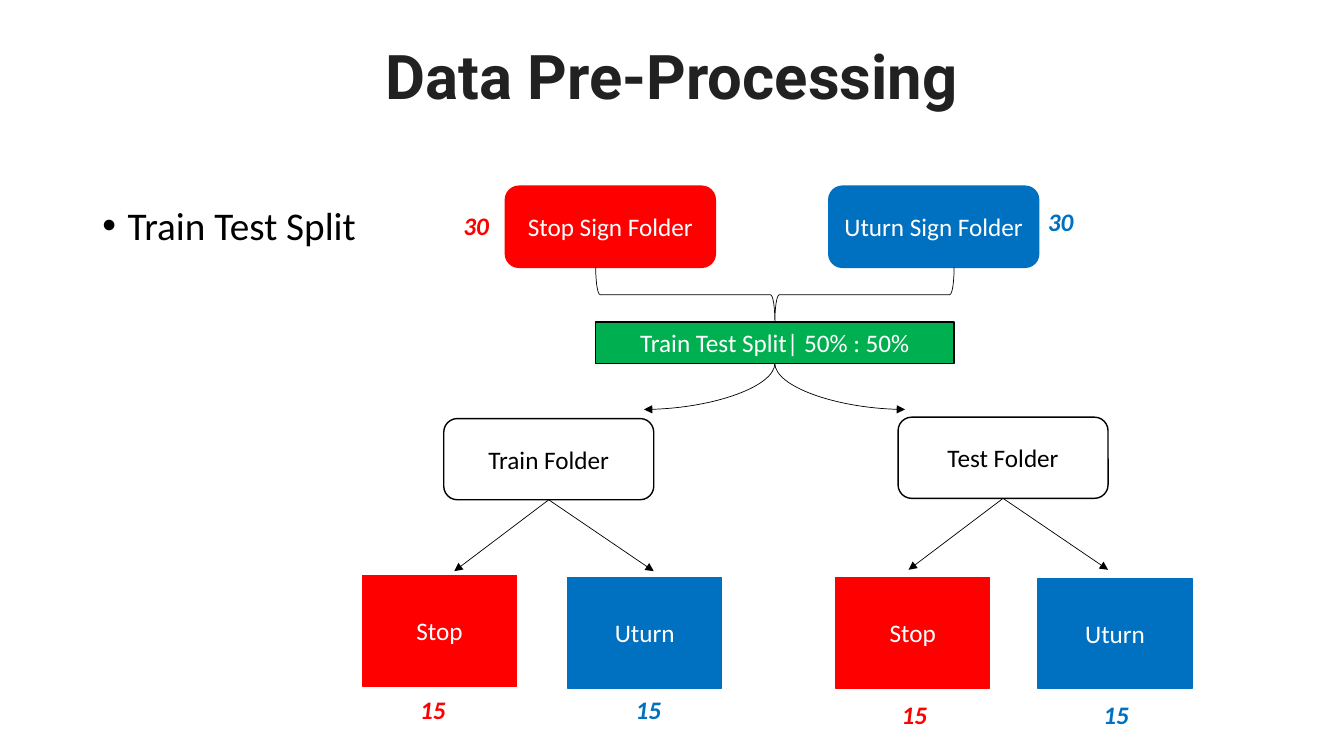
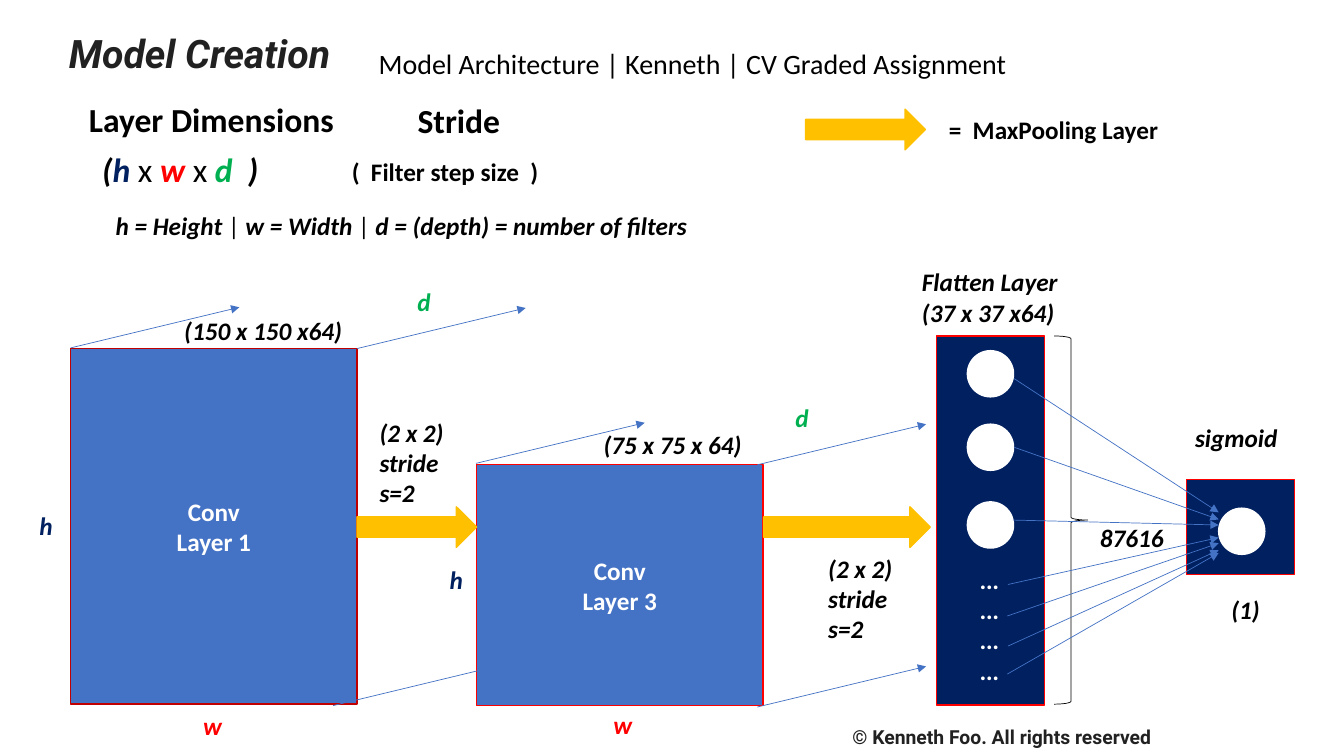
from dataclasses import dataclass

from pptx import Presentation
from pptx import util as u
from pptx.dml.color import RGBColor
from pptx.enum import shapes, text
from pptx.oxml.ns import qn
from lxml import etree

Pt = u.Pt
Kind = shapes.MSO_SHAPE
Link = shapes.MSO_CONNECTOR
CENTER, LEFT = text.PP_ALIGN.CENTER, text.PP_ALIGN.LEFT


@dataclass(frozen=True)
class Theme:
    body_font: str = "Calibri"
    title_font: str = "Roboto"
    title_ink: str = "212121"
    black: str = "000000"
    white: str = "FFFFFF"
    red: str = "FF0000"
    dark_red: str = "C00000"
    blue: str = "0070C0"
    layer_blue: str = "4472C4"
    navy: str = "002060"
    green: str = "00B050"
    amber: str = "FFC000"
    title: float = 44
    bullet: float = 28
    subtitle: float = 20
    heading: float = 24
    label: float = 18
    footer: float = 13.8
    edge: float = 1
    hairline: float = 0.5


T = Theme()
BOLD = {"bold": True}
STRONG = {"bold": True, "italic": True}
PLAIN = {"bold": False, "italic": False}

# ---- Content: data pre-processing ----
FOLDER_SIZE, CLASS_SIZE = (150, 58), (110, 79)
SPLIT = (425.5, 230, 256, 29.5)
SOURCE_FOLDERS = [
    ("Stop Sign Folder", T.red, 361, 133),
    ("Uturn Sign Folder", T.blue, 592, 133),
]
SPLIT_FOLDERS = [("Train Folder", 317, 299), ("Test Folder", 641.5, 298)]
CLASS_BOXES = [
    ("Stop", T.red, 259, 411),
    ("Uturn", T.blue, 405.5, 412.5),
    ("Stop", T.red, 597, 412.5),
    ("Uturn", T.blue, 741.5, 413),
]
COUNTS = [
    ("30", T.red, 324, 147), ("30", T.blue, 741.5, 144),
    ("15", T.red, 293, 492.5), ("15", T.blue, 447, 492.5),
    ("15", T.red, 637, 496), ("15", T.blue, 781, 496),
]

# ---- Content: model creation ----
DIMENSIONS = [
    ("(", {}), ("h", {"color": T.navy}), (" x ", PLAIN), ("w ", {"color": T.red}),
    ("x ", PLAIN), ("d  ", {"color": T.green}), (")", {}),
]
LEGEND = [
    ("h = Height ", {}), ("| ", PLAIN), ("w = Width ", {}), ("| ", PLAIN),
    ("d = (depth) = number of filters", {}),
]
HEADINGS = [  # paragraphs, box, format
    (["Model Architecture | Kenneth | CV Graded Assignment"],
     (255, 29.5, 479.5, 32), {"size": T.subtitle}),
    (["Layer Dimensions"], (37.5, 67, 227, 36), {"size": T.heading, **BOLD}),
    ([DIMENSIONS], (56, 103, 145.5, 36), {"size": T.heading, **STRONG}),
    (["Stride"], (255, 67.5, 145.5, 36), {"size": T.heading, **BOLD}),
    (["(  Filter step size  )"], (235.5, 108, 165, 29), BOLD),
    (["=  MaxPooling Layer"], (670, 78, 165, 29), BOLD),
    (["…"] * 4, (688, 399.5, 38, 94.5), {"color": T.white, **STRONG}),
]
POOL_STRIDE = ["(2 x 2)", "stride", "s=2"]
LABELS = [  # paragraphs, box
    ([LEGEND], (75.5, 147, 479.5, 29)),
    (["(150 x 150 x64)"], (124.5, 222, 134.5, 29)),
    (["(75 x 75 x 64)"], (424, 303, 134.5, 29)),
    (POOL_STRIDE, (264, 294.5, 70, 73)),
    (POOL_STRIDE, (584.5, 391.5, 70, 73)),
    (["Flatten Layer", "(37 x 37 x64)"], (651.5, 187, 119, 51)),
    (["87616"], (778.5, 369.5, 61, 29)),
    (["sigmoid"], (846.5, 298, 78.5, 29)),
    (["(1)"], (872.5, 421, 38, 29)),
]
AXIS_MARKS = [
    ("h", T.navy, [(21, 361), (314, 399.5)]),
    ("w", T.red, [(138, 504), (431, 503)]),
    ("d", T.green, [(291, 201), (561, 283.5)]),
]
LAYERS = [  # paragraphs, box, fill, line
    (["Conv", "Layer 1"], (50.5, 249, 204.5, 254), T.layer_blue, T.dark_red),
    (["Conv", "Layer 3"], (340.5, 332, 204.5, 172), T.layer_blue, T.red),
    ([], (669, 240, 77, 263.5), T.navy, T.red),
    ([], (847.5, 342.5, 77, 68), T.navy, T.red),
]
POOL_ARROWS = [(255, 362, 85.5, 29), (545.5, 362, 119, 29), (575.5, 78, 85.5, 29)]
DEPTH_STARTS = [(50.5, 248.5), (255, 249), (340, 331), (541, 332), (238, 504), (541, 505)]
DEPTH_SHIFT = (120.5, -29)
NEURONS = [(691, 250.5), (691, 303), (691, 358.5), (870.5, 363)]
NEURON_SIZE = (33, 33)
NEURON_LINKS = [  # start x, start y, end y
    (724.5, 270.5, 366), (724.5, 319.5, 371), (723.5, 371.5, 375), (720, 417.5, 384),
    (719.5, 440, 388), (720, 461.5, 393), (719.5, 481.5, 395),
]
OUTPUT_EDGE = 870.5


# ---- Shared helpers ----
def rgb(value):
    return RGBColor.from_string(value)


def write(frame, paragraphs, align=CENTER, spacing=None, **style):
    """Fill a frame; a paragraph is a string or a list of (text, format)."""
    base = {"name": T.body_font, "size": T.label, "color": T.black, **style}
    for number, content in enumerate(paragraphs):
        para = frame.add_paragraph() if number else frame.paragraphs[0]
        para.alignment = align
        if spacing:
            para.line_spacing = spacing
        spans = [(content, {})] if isinstance(content, str) else content
        for words, changes in spans:
            span = para.add_run()
            span.text = words
            for key, value in {**base, **changes}.items():
                if key == "color":
                    span.font.color.rgb = rgb(value)
                else:
                    setattr(span.font, key, Pt(value) if key == "size" else value)


def place(item, box):
    for key, value in zip(("left", "top", "width", "height"), box):
        setattr(item, key, Pt(value))


def add_title(page, words, box, **style):
    place(page.shapes.title, box)
    frame = page.shapes.title.text_frame
    frame.auto_size = text.MSO_AUTO_SIZE.NONE
    frame.vertical_anchor = text.MSO_ANCHOR.MIDDLE
    write(frame, [words], spacing=0.9,
          **{"name": T.title_font, "color": T.title_ink, **BOLD, **style})


def add_text(page, paragraphs, box, **style):
    frame = page.shapes.add_textbox(*map(Pt, box)).text_frame
    frame.word_wrap = True
    write(frame, paragraphs, **style)
    return frame


def add_box(page, kind, box, fill, line=None, paragraphs=(), weight=T.edge, **style):
    shape = page.shapes.add_shape(kind, *map(Pt, box))
    shape.shadow.inherit = False
    if fill:
        shape.fill.solid()
        shape.fill.fore_color.rgb = rgb(fill)
    else:
        shape.fill.background()
    shape.line.color.rgb = rgb(line or fill)
    shape.line.width = Pt(weight)
    shape.text_frame.vertical_anchor = text.MSO_ANCHOR.MIDDLE
    write(shape.text_frame, paragraphs, **{"color": T.white, **style})
    return shape


def add_arrow(page, start, end, color, kind=Link.STRAIGHT, tip="tailEnd"):
    arrow = page.shapes.add_connector(kind, *map(Pt, (*start, *end)))
    arrow.line.color.rgb = rgb(color)
    arrow.line.width = Pt(T.hairline)
    outline = arrow.element.spPr
    etree.SubElement(outline.get_or_add_ln(), qn("a:" + tip), type="triangle")
    etree.SubElement(outline, qn("a:effectLst"))
    return arrow


# ---- Slides ----
def build_preprocessing(deck):
    page = deck.slides.add_slide(deck.slide_layouts[1])
    add_title(page, "Data Pre-Processing", (66, 5, 828, 104), size=T.title)

    # Bullet list
    body = page.placeholders[1]
    place(body, (66, 144, 213, 343))
    body.text_frame.auto_size = text.MSO_AUTO_SIZE.NONE
    write(body.text_frame, ["Train Test Split"], align=LEFT, spacing=0.9, size=T.bullet)
    bullet = body.text_frame.paragraphs[0]
    bullet.space_before = Pt(10)
    for key, value in {"marL": 18, "indent": -18}.items():
        bullet._p.get_or_add_pPr().set(key, str(Pt(value)))

    # Source folders joined into the split
    for name, color, left, top in SOURCE_FOLDERS:
        add_box(page, Kind.ROUNDED_RECTANGLE, (left, top, *FOLDER_SIZE), color,
                paragraphs=[name])
    left, top, width, height = SPLIT
    middle, depth = left + width / 2, 39
    brace_box = (middle - depth / 2, top - depth / 2 - width / 2, depth, width)
    brace = add_box(page, Kind.LEFT_BRACE, brace_box, None, T.black, weight=T.hairline)
    brace.rotation = 270
    brace.adjustments[0], brace.adjustments[1] = 0.08, 0.5
    add_box(page, Kind.RECTANGLE, SPLIT, T.green, T.black, ["Train Test Split| 50% : 50%"])
    for tip_x in (460, 646.5):
        curve = add_arrow(page, (tip_x, 292.5), (middle, top + height), T.black,
                          Link.CURVE, "headEnd")
        curve.element.spPr.find(qn("a:prstGeom")).set("prst", "curvedConnector2")

    # Train and test folders, their classes and counts
    for name, left, top in SPLIT_FOLDERS:
        add_box(page, Kind.ROUNDED_RECTANGLE, (left, top, *FOLDER_SIZE), T.white, T.black,
                [name], color=T.black)
        start = (left + FOLDER_SIZE[0] / 2, top + FOLDER_SIZE[1])
        for shift in (-67.5, 75):
            add_arrow(page, start, (start[0] + shift, start[1] + 51), T.black)
    for name, color, left, top in CLASS_BOXES:
        add_box(page, Kind.RECTANGLE, (left, top, *CLASS_SIZE), color, paragraphs=[name])
    for count, color, left, top in COUNTS:
        add_text(page, [count], (left, top, 42, 29), align=LEFT, color=color, **STRONG)


def build_model(deck):
    page = deck.slides.add_slide(deck.slide_layouts[5])
    add_title(page, "Model Creation", (21, 16, 243, 47.5), size=T.bullet, italic=True)

    # Layers, pooling arrows and neurons
    for paragraphs, box, fill, line in LAYERS:
        add_box(page, Kind.RECTANGLE, box, fill, line, paragraphs, **BOLD)
    for box in POOL_ARROWS:
        add_box(page, Kind.RIGHT_ARROW, box, T.amber)
    for corner in NEURONS:
        add_box(page, Kind.FLOWCHART_CONNECTOR, (*corner, *NEURON_SIZE), T.white)
    add_box(page, Kind.RIGHT_BRACE, (753, 240, 24, 263), None, T.black, weight=T.hairline)

    # Depth arrows and links to the output
    for x, y in DEPTH_STARTS:
        add_arrow(page, (x, y), (x + DEPTH_SHIFT[0], y + DEPTH_SHIFT[1]), T.layer_blue)
    for x, y, end_y in NEURON_LINKS:
        add_arrow(page, (x, y), (OUTPUT_EDGE, end_y), T.layer_blue)

    # Text
    for paragraphs, box, style in HEADINGS:
        add_text(page, paragraphs, box, **style)
    for paragraphs, box in LABELS:
        add_text(page, paragraphs, box, align=LEFT, **STRONG)
    for mark, color, corners in AXIS_MARKS:
        for corner in corners:
            add_text(page, [mark], (*corner, 29, 29), align=LEFT, color=color, **STRONG)
    footer = add_text(page, ["©\u00a0Kenneth Foo. All rights reserved"], (506, 514, 419, 24),
                      name=T.title_font, size=T.footer, color=T.title_ink, **BOLD)
    footer.vertical_anchor = text.MSO_ANCHOR.MIDDLE


def main():
    deck = Presentation()
    deck.slide_width, deck.slide_height = Pt(960), Pt(540)
    build_preprocessing(deck)
    build_model(deck)
    deck.save("out.pptx")


if __name__ == "__main__":
    main()
